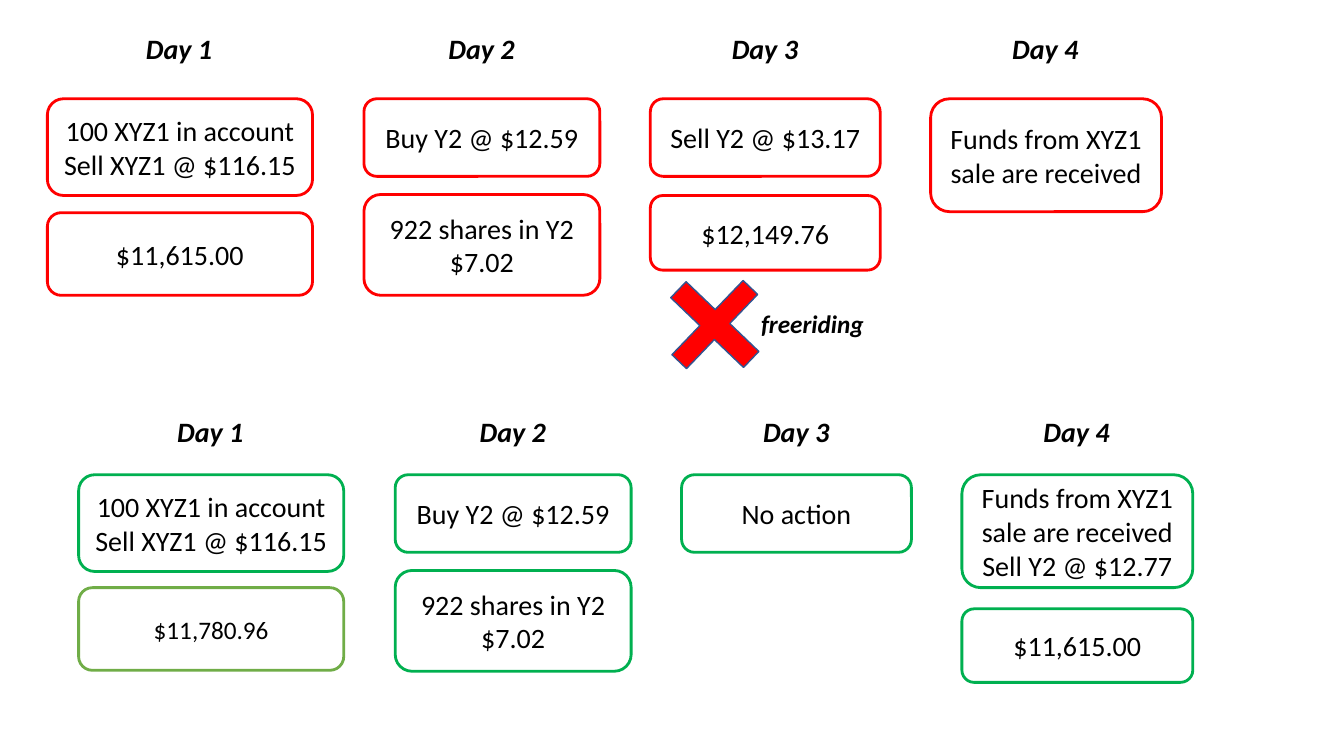
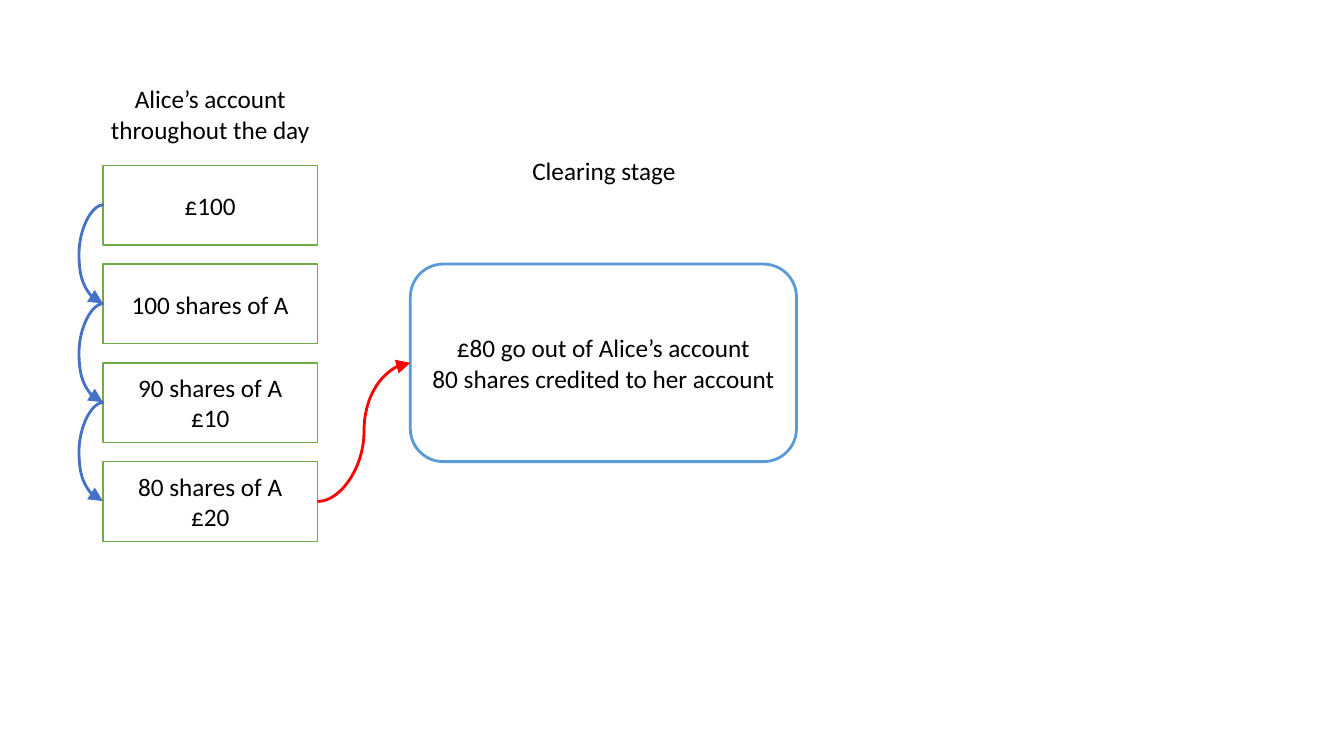
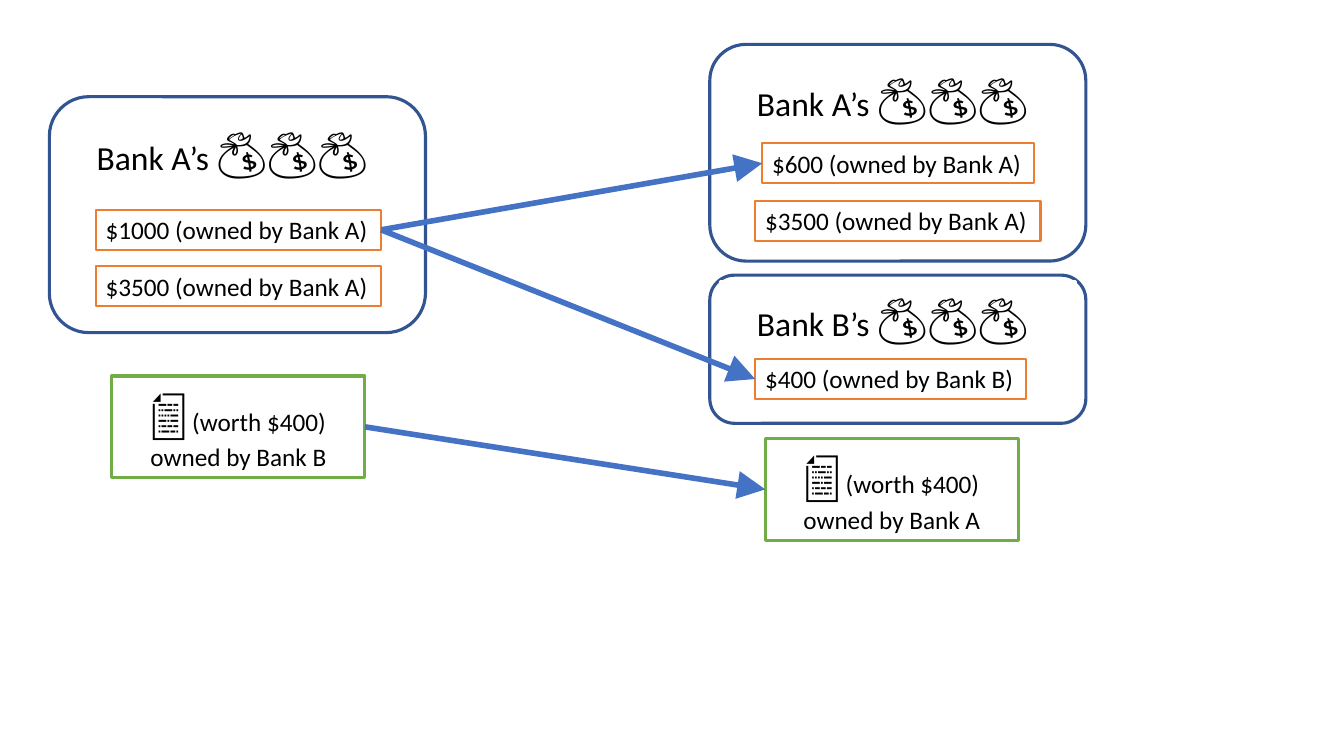
from lxml.etree import SubElement
from pptx import Presentation
from pptx.dml.color import RGBColor
from pptx.enum.shapes import MSO_CONNECTOR, MSO_SHAPE
from pptx.enum.text import MSO_ANCHOR, PP_ALIGN
from pptx.oxml.ns import qn
from pptx.util import Inches, Pt

COLORS = {
    "white": "FFFFFF", "black": "000000", "red": "FF0000", "green": "00B050",
    "olive": "70AD47", "blue": "4472C4", "sky": "5B9BD5", "navy": "325491",
    "orange": "ED7D31",
}
ROUND = MSO_SHAPE.ROUNDED_RECTANGLE
RECT = MSO_SHAPE.RECTANGLE


def box(shapes, kind, x, y, w, h, lines=(), size=18, line=None, width=2, fill="white",
        anchor=MSO_ANCHOR.MIDDLE, align=PP_ALIGN.CENTER, wrap=True, strong=False):
    pos = [Inches(v) for v in (x, y, w, h)]
    if kind is None:
        sp = shapes.add_textbox(*pos)
    else:
        sp = shapes.add_shape(kind, *pos)
        sp.shadow.inherit = False
        sp.line.color.rgb = RGBColor.from_string(COLORS[line])
        sp.line.width = Pt(width)
        if fill:
            sp.fill.solid()
            sp.fill.fore_color.rgb = RGBColor.from_string(COLORS[fill])
        else:
            sp.fill.background()
    tf = sp.text_frame
    tf.word_wrap = wrap
    tf.vertical_anchor = anchor
    for i, text in enumerate(lines):
        p = tf.add_paragraph() if i else tf.paragraphs[0]
        p.text = text
        p.alignment = align
        p.font.name = "Calibri"
        p.font.size = Pt(size)
        p.font.bold = p.font.italic = strong
        p.font.color.rgb = RGBColor.from_string(COLORS["black"])
    return sp


def arrow(s, kind, x1, y1, x2, y2, color, width):
    cn = s.shapes.add_connector(kind, Inches(x1), Inches(y1), Inches(x2), Inches(y2))
    cn.line.color.rgb = RGBColor.from_string(COLORS[color])
    cn.line.width = Pt(width)
    SubElement(cn.line._get_or_add_ln(), qn("a:tailEnd"), type="triangle", w="lg", len="lg")
    SubElement(cn._element.spPr, qn("a:effectLst"))
    return cn


prs = Presentation()
prs.slide_width = Inches(13.33)
prs.slide_height = Inches(7.5)
blank = prs.slide_layouts[6]

s = prs.slides.add_slide(blank)
columns = [(0.47, 2.63, 1.35), (3.61, 2.34, 4.35), (6.45, 2.28, 7.16), (9.23, 2.29, 9.94)]
sale = (0, 0.96, ["100 XYZ1 in account Sell XYZ1 @ $116.15"])
purchase = [(0, 0.77, ["Buy Y2 @ $12.59"]), (0.95, 1, ["922 shares in Y2", "$7.02"])]
funds = "Funds from XYZ1 sale are received"
scenarios = [
    (0, 0.26, 0.98, "red", [
        [sale, (1.13, 0.82, ["$11,615.00"])],
        purchase,
        [(0, 0.77, ["Sell Y2 @ $13.17"]), (0.96, 0.74, ["$12,149.76"])],
        [(0, 1.12, [funds])],
    ]),
    (0.31, 4.06, 4.71, "green", [
        [sale],
        purchase,
        [(0, 0.77, ["No action"])],
        [(0, 1.12, [funds, "Sell Y2 @ $12.77"]), (1.33, 0.73, ["$11,615.00"])],
    ]),
]
for dx, label_y, top, color, days in scenarios:
    for n, ((x, w, label_x), steps) in enumerate(zip(columns, days), 1):
        box(s.shapes, None, label_x + dx, label_y, 0.86, 0.44, [f"Day {n}"], 20,
            anchor=MSO_ANCHOR.TOP, align=PP_ALIGN.LEFT, wrap=False, strong=True)
        for dy, h, lines in steps:
            box(s.shapes, ROUND, x + dx, top + dy, w, h, lines, 20, color)
box(s.shapes, ROUND, 0.78, 5.83, 2.63, 0.82, ["$11,780.96"], 18, "olive")
cross = box(s.shapes, MSO_SHAPE.CROSS, 6.58, 2.72, 1.02, 1, line="navy", width=1, fill="red")
cross.adjustments[0] = 0.4
cross.rotation = 313.8
box(s.shapes, None, 7.45, 3.01, 1.23, 0.4, ["freeriding"],
    anchor=MSO_ANCHOR.TOP, align=PP_ALIGN.LEFT, wrap=False, strong=True)

s = prs.slides.add_slide(blank)
box(s.shapes, None, 0.66, 0.78, 2.85, 0.71, ["Alice’s account throughout the day"],
    anchor=MSO_ANCHOR.TOP)
box(s.shapes, None, 5.17, 1.49, 1.64, 0.4, ["Clearing stage"],
    anchor=MSO_ANCHOR.TOP, wrap=False)
states = ["£100", "100 shares of A", "90 shares of A\n£10", "80 shares of A\n£20"]
step = 0.98
for i, text in enumerate(states):
    state = box(s.shapes, RECT, 1.02, 1.64 + i * step, 2.13, 0.79, [text],
                line="olive", width=1)
for i in range(len(states) - 1):
    y = 2.03 + i * step
    cn = arrow(s, MSO_CONNECTOR.CURVE, 1.03, y, 1.02, y + step, "blue", 2)
    geom = cn._element.spPr.find(qn("a:prstGeom"))
    SubElement(geom.find(qn("a:avLst")), qn("a:gd"), name="adj1", fmla="val 2500000")
clearing = box(s.shapes, ROUND, 4.07, 2.62, 3.83, 1.96,
               ["£80 go out of Alice’s account", "80 shares credited to her account"], line="sky")
cn = arrow(s, MSO_CONNECTOR.CURVE, 3.15, 4.97, 4.07, 3.6, "red", 2)
cn.begin_connect(state, 3)
cn.end_connect(clearing, 1)

s = prs.slides.add_slide(blank)
panels = [("A", 0.49, 0.96, 2.34, 1.14), ("A", 7.04, 0.44, 2.15, 0.61), ("B", 7.04, 2.73, 1.47, 2.79)]
for bank, x, y, h, title_y in panels:
    group = s.shapes.add_group_shape()
    box(group.shapes, ROUND, x, y, 3.73, h, line="navy", width=2.25, fill=None)
    sp = box(group.shapes, RECT, x + 0.11, title_y, 3.52, 0.71, [f"Bank {bank}’s "], 24,
             "white", 2.25, None, MSO_ANCHOR.TOP)
    r = sp.text_frame.paragraphs[0].add_run()
    r.text = "💰💰💰 "
    r.font.size = Pt(36)

holdings = [
    (0.95, 2.08, 2.83, "$1000 (owned by Bank A)"),
    (0.95, 2.64, 2.83, "$3500 (owned by Bank A)"),
    (7.56, 1.42, 2.7, "$600 (owned by Bank A)"),
    (7.49, 1.99, 2.83, "$3500 (owned by Bank A)"),
    (7.49, 3.56, 2.69, "$400 (owned by Bank B)"),
]
cash = [box(s.shapes, RECT, x, y, w, 0.4, [text], 18, "orange", 1.5,
            anchor=MSO_ANCHOR.TOP, align=PP_ALIGN.LEFT, wrap=False)
        for x, y, w, text in holdings]

bonds = []
for x, y, bank in [(1.11, 3.73, "B"), (7.59, 4.35, "A")]:
    sp = box(s.shapes, RECT, x, y, 2.51, 1.01, ["📄"], 18, "olive", 2.25,
             anchor=MSO_ANCHOR.TOP)
    p = sp.text_frame.paragraphs[0]
    p.runs[0].font.name = "Arial"
    p.runs[0].font.size = Pt(36)
    p.add_run().text = f" (worth $400) owned by Bank {bank}"
    bonds.append(sp)

for start, end in [(cash[0], cash[2]), (cash[0], cash[4]), bonds]:
    cn = arrow(s, MSO_CONNECTOR.STRAIGHT, 0, 0, 1, 1, "blue", 4)
    cn.begin_connect(start, 3)
    cn.end_connect(end, 1)

prs.save("out.pptx")
